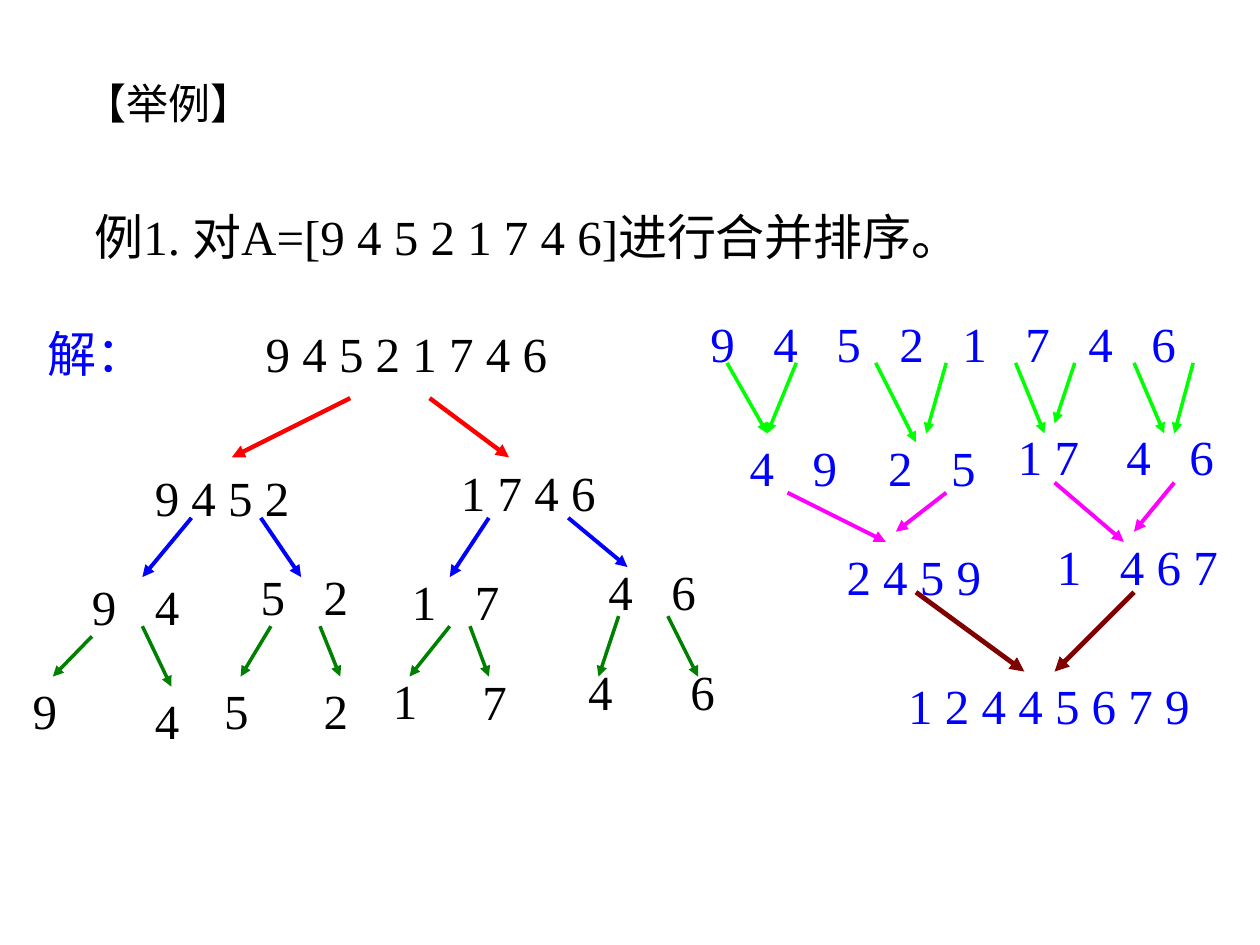
from lxml import etree
from pptx import Presentation
from pptx.dml.color import RGBColor
from pptx.enum.shapes import MSO_CONNECTOR
from pptx.enum.text import MSO_ANCHOR, MSO_AUTO_SIZE, PP_ALIGN
from pptx.oxml.ns import qn
from pptx.util import Inches, Pt

STRAIGHT = MSO_CONNECTOR.STRAIGHT
TOP, MIDDLE = MSO_ANCHOR.TOP, MSO_ANCHOR.MIDDLE
NO_FIT = MSO_AUTO_SIZE.NONE
LEFT = PP_ALIGN.LEFT

BLACK = RGBColor(0x00, 0x00, 0x00)
BLUE = RGBColor(0x00, 0x00, 0xFF)
RED = RGBColor(0xFF, 0x00, 0x00)
GREEN = RGBColor(0x00, 0x80, 0x00)
LIME = RGBColor(0x00, 0xFF, 0x00)
MAGENTA = RGBColor(0xFF, 0x00, 0xFF)
MAROON = RGBColor(0x80, 0x00, 0x00)

PAIR_STOPS = (0.39,)
LEAF_STOPS = (0.58, 1.17, 1.75, 2.33, 2.82, 3.31, 3.79)

SPLIT_LABELS = [
    ("9 4 5 2 1 7 4 6", 1.91, 0.01),
    ("9 4 5 2", 1.03, 1.15), ("1 7 4 6", 3.46, 1.11),
    ("9\t4", 0.53, 2.02), ("5\t2", 1.87, 1.94),
    ("1\t7", 3.07, 1.98), ("4\t6", 4.63, 1.9),
    ("9", 0.06, 2.84), ("4", 1.03, 2.92), ("5", 1.58, 2.84), ("2", 2.37, 2.84),
    ("1", 2.92, 2.76), ("7", 3.63, 2.77), ("4", 4.47, 2.69), ("6", 5.28, 2.69),
]
SPLIT_ARROWS = [
    (RED, 2.5, [(2.68, 0.56, 1.74, 1.03), (3.31, 0.56, 3.94, 1.03)]),
    (BLUE, 2.25, [(1.42, 1.51, 1.03, 1.98), (1.97, 1.51, 2.29, 1.98),
                  (3.78, 1.51, 3.47, 1.98), (4.41, 1.51, 4.88, 1.9)]),
    (GREEN, 2, [(0.63, 2.45, 0.32, 2.77), (1.03, 2.37, 1.26, 2.85),
                (2.05, 2.37, 1.81, 2.77), (2.44, 2.37, 2.6, 2.77),
                (3.47, 2.37, 3.15, 2.77), (3.63, 2.37, 3.78, 2.77),
                (4.81, 2.29, 4.65, 2.77), (5.2, 2.29, 5.44, 2.77)]),
]
MERGE_LABELS = [
    ("4\t9", 0.35, 1.01), ("2\t5", 1.45, 1.01), ("1 7", 2.48, 0.93), ("4\t6", 3.34, 0.93),
    ("2 4 5 9", 1.12, 1.88), ("1\t4 6 7", 2.79, 1.8),
    ("1 2 4 4 5 6 7 9", 1.61, 2.9),
]
MERGE_ARROWS = [
    (LIME, 2, [(0.27, 0.38, 0.59, 0.94), (0.82, 0.38, 0.59, 0.94),
               (1.45, 0.38, 1.77, 1.01), (2.01, 0.38, 1.85, 0.94),
               (2.56, 0.38, 2.79, 0.94), (3.03, 0.38, 2.87, 0.86),
               (3.5, 0.38, 3.74, 0.94), (3.97, 0.38, 3.82, 0.94)]),
    (MAGENTA, 2.25, [(0.75, 1.41, 1.53, 1.8), (2.01, 1.41, 1.61, 1.72),
                     (2.87, 1.33, 3.42, 1.8), (3.82, 1.33, 3.5, 1.72)]),
    (MAROON, 2.75, [(1.77, 2.2, 2.63, 2.83), (3.5, 2.2, 2.87, 2.83)]),
]


def apply_format(target, values):
    for name, value in values.items():
        setattr(target, name, value)


def write_text(shape, text, color, size=28, anchor=TOP, spacing=0.8, stops=()):
    frame = shape.text_frame
    apply_format(frame, {
        "word_wrap": True, "auto_size": NO_FIT, "vertical_anchor": anchor,
        "margin_left": Inches(0.1), "margin_right": 0,
        "margin_top": Inches(0.05), "margin_bottom": Inches(0.05),
    })
    para = frame.paragraphs[0]
    apply_format(para, {"alignment": LEFT, "line_spacing": spacing, "space_before": Pt(0)})
    properties = para._p.get_or_add_pPr()
    properties.set("marL", "0")
    properties.set("indent", "0")
    etree.SubElement(properties, qn("a:buNone"))
    if stops:
        tab_list = etree.SubElement(properties, qn("a:tabLst"))
        for stop in stops:
            etree.SubElement(tab_list, qn("a:tab"), pos=str(Inches(stop)), algn="l")
    span = para.add_run()
    span.text = text
    apply_format(span.font, {"name": "Times New Roman", "size": Pt(size), "bold": False})
    span.font.color.rgb = color


def add_label(page, text, left, top, color, stops=PAIR_STOPS):
    used_stops = stops if "\t" in text else ()
    width = 0.6 + max(0.15 * len(text), max(used_stops, default=0))
    box = page.shapes.add_textbox(Inches(left), Inches(top), Inches(width), Inches(0.47))
    write_text(box, text, color, stops=used_stops)


def add_arrow(page, start, end, color, width):
    arrow = page.shapes.add_connector(STRAIGHT, *map(Inches, (*start, *end)))
    arrow.line.color.rgb = color
    arrow.line.width = Pt(width)
    etree.SubElement(arrow.line._get_or_add_ln(), qn("a:tailEnd"), type="triangle")
    etree.SubElement(arrow._element.spPr, qn("a:effectLst"))


def add_tree(page, left, top, labels, levels, color):
    for text, x, y in labels:
        add_label(page, text, left + x, top + y, color)
    for line_color, width, arrows in levels:
        for x1, y1, x2, y2 in arrows:
            add_arrow(page, (left + x1, top + y1), (left + x2, top + y2), line_color, width)


def add_split_region(page, left, top):
    add_label(page, "解：", left + 0.18, top + 0.01, BLUE)
    add_tree(page, left, top, SPLIT_LABELS, SPLIT_ARROWS, BLACK)


def add_merge_region(page, left, top):
    add_label(page, "9\t4\t5\t2\t1\t7\t4\t6", left + 0.04, top + 0.03, BLUE, LEAF_STOPS)
    add_tree(page, left, top, MERGE_LABELS, MERGE_ARROWS, BLUE)


def add_heading_region(page, left, top):
    title, body = page.shapes.title, page.placeholders[1]
    for shape, x, y, width, height in ((title, 0, 0, 2.62, 0.42), (body, 0.08, 0.95, 7.4, 0.57)):
        apply_format(shape, {"left": Inches(left + x), "top": Inches(top + y),
                             "width": Inches(width), "height": Inches(height)})
    write_text(title, "【举例】", BLACK, size=24)
    write_text(body, "例1. 对A=[9 4 5 2 1 7 4 6]进行合并排序。", BLACK, anchor=MIDDLE, spacing=1.0)


def main():
    deck = Presentation()
    deck.slide_width, deck.slide_height = Inches(10), Inches(7.5)
    page = deck.slides.add_slide(deck.slide_layouts[1])
    add_heading_region(page, 0.57, 0.64)
    add_split_region(page, 0.1, 2.6)
    add_merge_region(page, 5.5, 2.5)
    deck.save("out.pptx")


if __name__ == "__main__":
    main()
